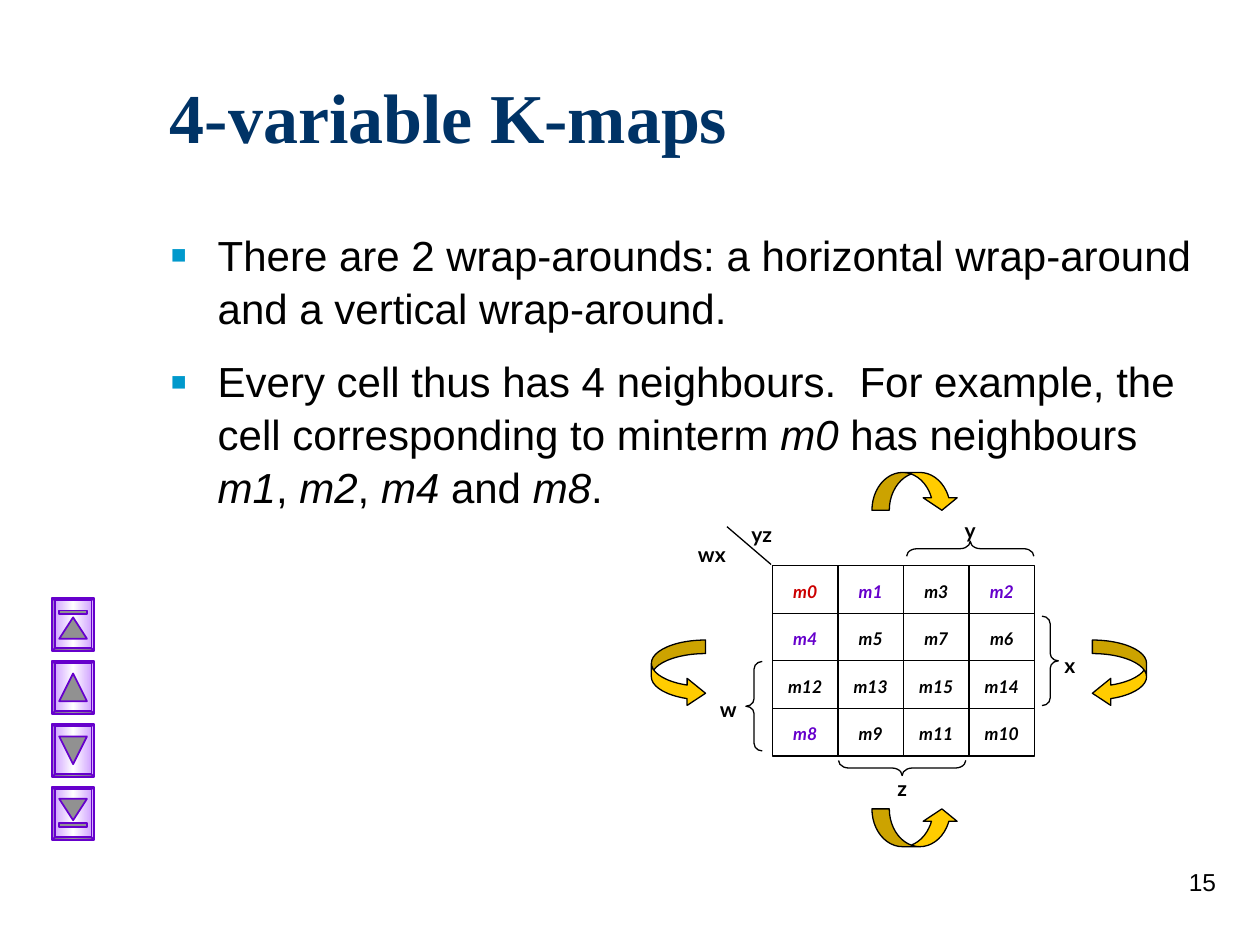
from dataclasses import dataclass

from pptx import Presentation
from pptx.dml.color import RGBColor
from pptx.enum.shapes import MSO_CONNECTOR, MSO_SHAPE
from pptx.enum.text import MSO_ANCHOR, PP_ALIGN
from pptx.oxml import parse_xml
from pptx.oxml.ns import nsdecls
from pptx.util import Inches, Pt

STRAIGHT = MSO_CONNECTOR.STRAIGHT
RECTANGLE, BEVEL, TRIANGLE = MSO_SHAPE.RECTANGLE, MSO_SHAPE.BEVEL, MSO_SHAPE.ISOSCELES_TRIANGLE
LEFT_BRACE, RIGHT_BRACE = MSO_SHAPE.LEFT_BRACE, MSO_SHAPE.RIGHT_BRACE
BEND_RIGHT, BEND_LEFT = MSO_SHAPE.CURVED_RIGHT_ARROW, MSO_SHAPE.CURVED_LEFT_ARROW
BEND_UP, BEND_DOWN = MSO_SHAPE.CURVED_UP_ARROW, MSO_SHAPE.CURVED_DOWN_ARROW
LEFT, CENTER, RIGHT = PP_ALIGN.LEFT, PP_ALIGN.CENTER, PP_ALIGN.RIGHT
TOP, MIDDLE = MSO_ANCHOR.TOP, MSO_ANCHOR.MIDDLE


@dataclass(frozen=True)
class Theme:
    ink: str = "000000"
    heading: str = "003366"
    bullet: str = "0099CC"
    origin: str = "CC0000"
    neighbour: str = "6600CC"
    arrow: str = "FFCC00"
    button: str = "CC99FF"
    shine: str = "FFFFFF"
    icon: str = "919191"
    title_font: str = "Times New Roman"
    body_font: str = "Arial"
    map_font: str = "Lato"
    title_size: int = 40
    body_size: int = 24
    number_size: int = 14
    label_size: int = 12
    cell_size: int = 10
    thin: float = 0.75
    edge: float = 1


class SlideBuilder:
    def __init__(self, slide, theme):
        self.shapes = slide.shapes
        self.theme = theme

    def text(self, box, paragraphs, font, size, color, bold=False,
             align=LEFT, anchor=TOP):
        frame = self.shapes.add_textbox(*map(Inches, box)).text_frame
        frame.word_wrap = True
        frame.vertical_anchor = anchor
        for index, runs in enumerate(paragraphs):
            paragraph = frame.paragraphs[0] if index == 0 else frame.add_paragraph()
            paragraph.alignment = align
            for wording, italic in runs:
                run = paragraph.add_run()
                run.text = wording
                run.font.name = font
                run.font.size = Pt(size)
                run.font.bold = bold
                run.font.italic = italic
                run.font.color.rgb = RGBColor.from_string(color)
        return frame

    def bullets(self, box, paragraphs):
        t = self.theme
        frame = self.text(box, paragraphs, t.body_font, t.body_size, t.ink)
        marks = (f'<a:buClr {nsdecls("a")}><a:srgbClr val="{t.bullet}"/></a:buClr>',
                 f'<a:buSzPct {nsdecls("a")} val="120000"/>',
                 f'<a:buFont {nsdecls("a")} typeface="{t.body_font}"/>',
                 f'<a:buChar {nsdecls("a")} char="▪"/>')
        for index, paragraph in enumerate(frame.paragraphs):
            properties = paragraph._p.get_or_add_pPr()
            properties.set("marL", str(Inches(0.38)))
            properties.set("indent", str(Inches(-0.38)))
            for mark in marks:
                properties.append(parse_xml(mark))
            paragraph.line_spacing = 1.05
            if index:
                paragraph.space_before = Pt(12)

    def label(self, box, wording):
        t = self.theme
        self.text(box, [[(wording, False)]], t.map_font, t.label_size, t.ink, True, CENTER)

    def line(self, start, end):
        line = self.shapes.add_connector(STRAIGHT, *map(Inches, start + end))
        line.line.color.rgb = RGBColor.from_string(self.theme.ink)
        line.line.width = Pt(self.theme.thin)
        line._element.spPr.append(parse_xml(f'<a:effectLst {nsdecls("a")}/>'))

    def shape(self, kind, box, fill=None, line=None, width=None, rotation=0, adjust=()):
        shape = self.shapes.add_shape(kind, *map(Inches, box))
        shape.shadow.inherit = False
        shape.rotation = rotation
        if fill:
            shape.fill.solid()
            shape.fill.fore_color.rgb = RGBColor.from_string(fill)
        else:
            shape.fill.background()
        shape.line.color.rgb = RGBColor.from_string(line or self.theme.ink)
        shape.line.width = Pt(width or self.theme.thin)
        for index, value in enumerate(adjust):
            shape.adjustments[index] = value
        return shape

    def button(self, top, points_up, has_bar):
        t = self.theme
        face = self.shape(BEVEL, (0.37, top, 0.42, 0.33), t.button, t.neighbour,
                          t.edge, 90, (0.06,))
        colors = ((0, t.button), (50, t.shine), (100, t.button))
        stops = "".join(f'<a:gs pos="{at * 1000}"><a:srgbClr val="{color}"/></a:gs>'
                        for at, color in colors)
        gradient = parse_xml(f'<a:gradFill {nsdecls("a")} rotWithShape="1"><a:gsLst>{stops}'
                             '</a:gsLst><a:lin ang="5400000" scaled="1"/></a:gradFill>')
        properties = face._element.spPr
        properties.replace(properties.solidFill, gradient)
        height = 0.17 if has_bar else 0.22
        shift = (0.03 if points_up else -0.03) if has_bar else 0
        middle = top + 0.165
        self.shape(TRIANGLE, (0.47, middle + shift - height / 2, 0.22, height),
                   t.icon, t.neighbour, t.edge, 0 if points_up else 180)
        if has_bar:
            bar = middle + (-0.095 if points_up else 0.095)
            self.shape(RECTANGLE, (0.47, bar - 0.015, 0.22, 0.03), t.icon, t.neighbour, t.edge)


def draw_map(builder):
    t = builder.theme
    left, top, column, row = 6.13, 4.49, 0.52, 0.3775
    minterms = ((0, 1, 3, 2), (4, 5, 7, 6), (12, 13, 15, 14), (8, 9, 11, 10))
    colors = {0: t.origin, 1: t.neighbour, 2: t.neighbour, 4: t.neighbour, 8: t.neighbour}
    right, bottom = left + 4 * column, top + 4 * row

    builder.shape(RECTANGLE, (left, top, 4 * column, 4 * row))
    for step in range(1, 4):
        x, y = left + step * column, top + step * row
        builder.line((left, y), (right, y))
        builder.line((x, top), (x, bottom))
    for r, terms in enumerate(minterms):
        for c, term in enumerate(terms):
            box = (left + c * column, top + 0.07 + r * row, column, 0.3)
            builder.text(box, [[(f"m{term}", True)]], t.map_font, t.cell_size,
                         colors.get(term, t.ink), True, CENTER)

    builder.line((6.12, 4.48), (5.77, 4.18))
    braces = ((LEFT_BRACE, (5.92, 5.25, 0.13, 0.71), 0, 0.46),
              (RIGHT_BRACE, (8.27, 4.89, 0.13, 0.71), 0, 0.46),
              (LEFT_BRACE, (7.64, 3.85, 0.12, 1.01), 90, 0.68),
              (LEFT_BRACE, (7.1, 5.59, 0.12, 1.01), 270, 0.68))
    for kind, box, rotation, curve in braces:
        builder.shape(kind, box, rotation=rotation, adjust=(curve, 0.5))
    labels = (("w", (5.59, 5.48, 0.38, 0.3)), ("x", (8.3, 5.13, 0.38, 0.3)),
              ("y", (7.51, 4.06, 0.38, 0.24)), ("z", (6.97, 6.11, 0.38, 0.23)),
              ("wx", (5.33, 4.25, 0.64, 0.27)), ("yz", (5.82, 4.09, 0.45, 0.24)))
    for wording, box in labels:
        builder.label(box, wording)

    side, level = (0.25, 0.5, 0.34), (0.46, 0.9, 0.33)
    wraps = ((BEND_RIGHT, (5.17, 5.08, 0.43, 0.53), side),
             (BEND_LEFT, (8.67, 5.08, 0.43, 0.53), side),
             (BEND_UP, (6.92, 6.42, 0.69, 0.3), level),
             (BEND_DOWN, (6.92, 3.75, 0.69, 0.3), level))
    for kind, box, adjust in wraps:
        builder.shape(kind, box, t.arrow, adjust=adjust)


def main():
    deck = Presentation()
    deck.slide_width, deck.slide_height = Inches(10), Inches(7.5)
    theme = Theme()
    builder = SlideBuilder(deck.slides.add_slide(deck.slide_layouts[6]), theme)

    builder.text((1.25, 0.5, 8.5, 0.83), [[("4-variable K-maps", False)]],
                 theme.title_font, theme.title_size, theme.heading, True, anchor=MIDDLE)
    builder.bullets((1.25, 1.75, 8.5, 2.26), [
        [("There are 2 wrap-arounds: a horizontal wrap-around and a vertical wrap-around.", False)],
        [("Every cell thus has 4 neighbours.  For example, the cell corresponding to minterm ", False),
         ("m0", True), (" has neighbours ", False), ("m1", True), (", ", False),
         ("m2", True), (", ", False), ("m4", True), (" and ", False),
         ("m8", True), (".", False)],
    ])
    draw_map(builder)
    buttons = ((True, True), (True, False), (False, False), (False, True))
    for index, (points_up, has_bar) in enumerate(buttons):
        builder.button(4.79 + 0.5 * index, points_up, has_bar)
    builder.text((7.67, 6.83, 2.08, 0.5), [[("15", False)]], theme.body_font,
                 theme.number_size, theme.ink, align=RIGHT)
    deck.save("out.pptx")


if __name__ == "__main__":
    main()
